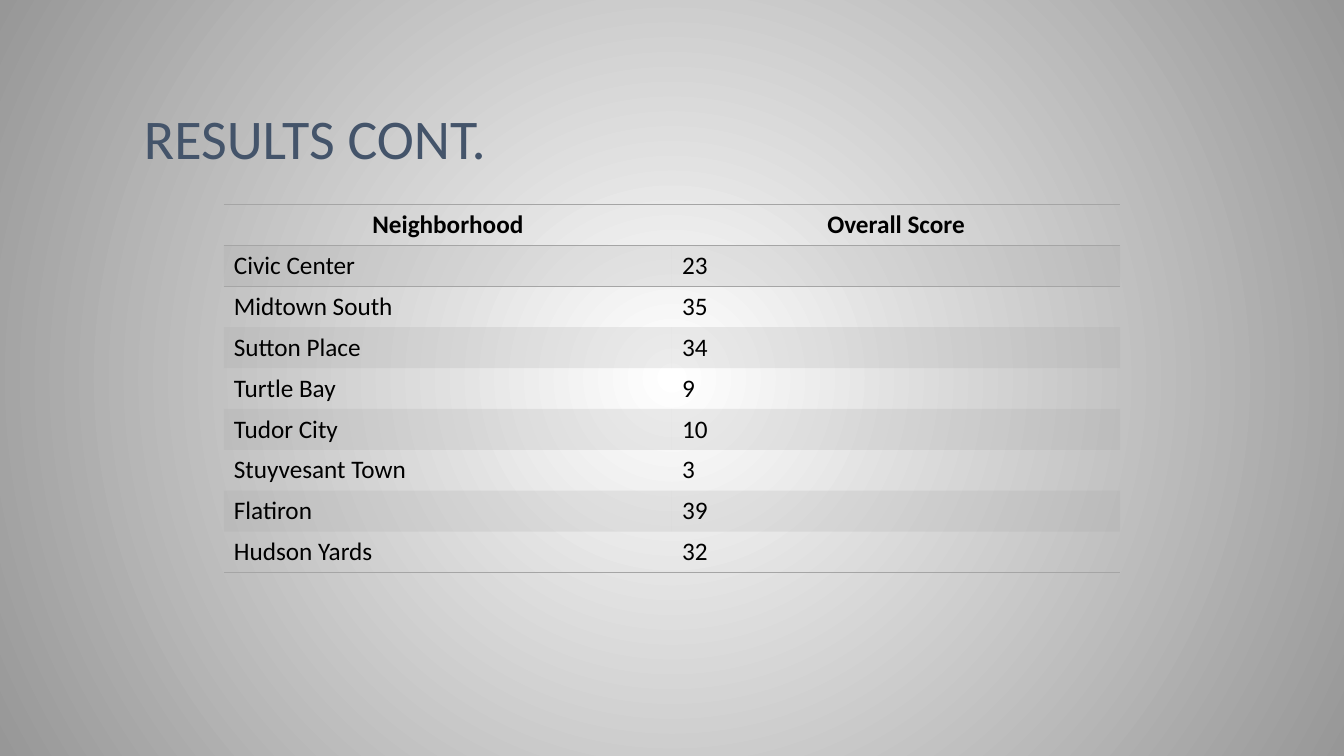
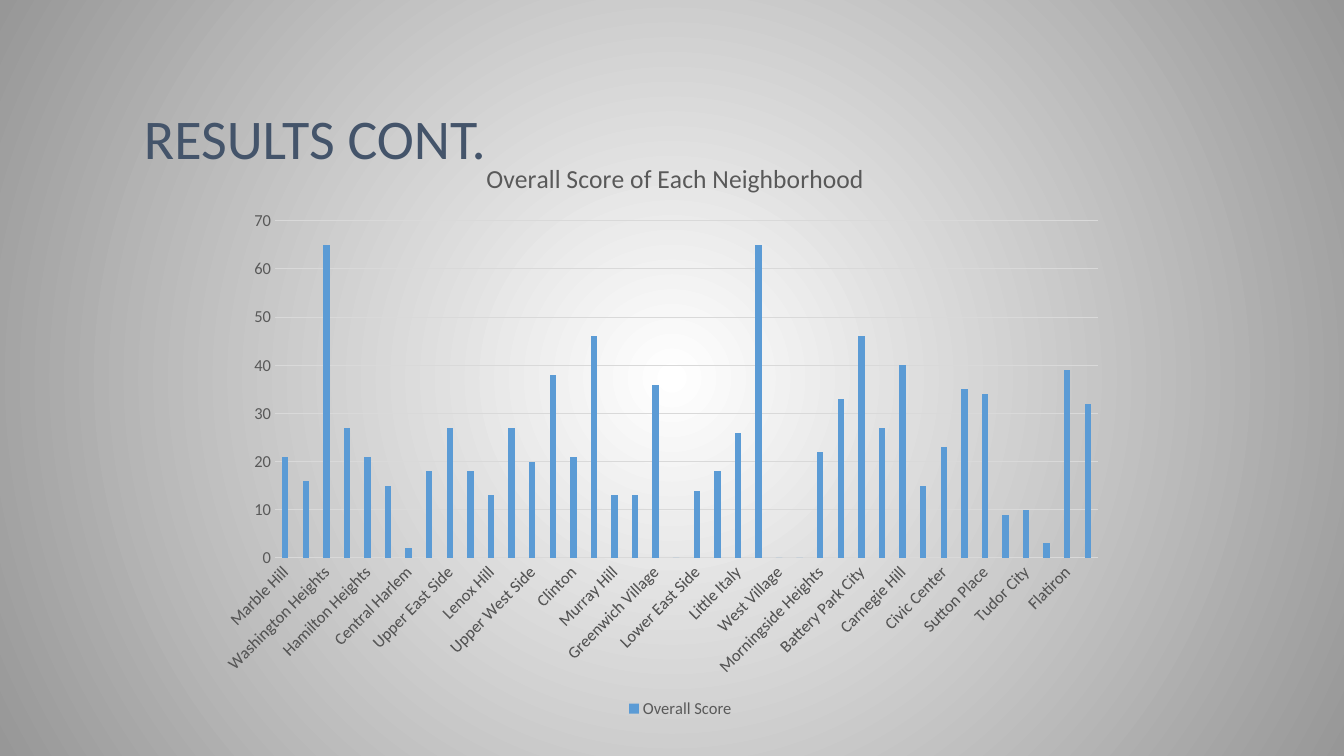
import pptx
import pptx.chart.data
import pptx.dml.color
import pptx.enum.chart
import pptx.enum.text
import pptx.oxml
import pptx.oxml.ns
import pptx.util

Inches = pptx.util.Inches
Pt = pptx.util.Pt
RGB = pptx.dml.color.RGBColor
qn = pptx.oxml.ns.qn
ALIGN = pptx.enum.text.PP_ALIGN

WHITE = RGB(0xFF, 0xFF, 0xFF)
BLACK = RGB(0, 0, 0)
EDGE = RGB(0x97, 0x97, 0x97)
NAVY = RGB(0x44, 0x54, 0x6A)
BAND = RGB(0xA5, 0xA5, 0xA5)
GRID = RGB(0xD9, 0xD9, 0xD9)
LABEL = RGB(0x59, 0x59, 0x59)
BLUE = RGB(0x5B, 0x9B, 0xD5)
FONT = "Calibri"
NO_GRID = "{2D5ABB26-0587-4C30-8999-92F81FD0307C}"

TITLE = "RESULTS CONT."
HEADS = ("Neighborhood", "Overall Score")
SCORES = [
    ("Marble Hill", 21), ("Chinatown", 16), ("Washington Heights", 65),
    ("Inwood", 27), ("Hamilton Heights", 21), ("Manhattanville", 15),
    ("Central Harlem", 2), ("East Harlem", 18), ("Upper East Side", 27),
    ("Yorkville", 18), ("Lenox Hill", 13), ("Roosevelt Island", 27),
    ("Upper West Side", 20), ("Lincoln Square", 38), ("Clinton", 21),
    ("Midtown", 46), ("Murray Hill", 13), ("Chelsea", 13),
    ("Greenwich Village", 36), ("East Village", 0), ("Lower East Side", 14),
    ("Tribeca", 18), ("Little Italy", 26), ("Soho", 65),
    ("West Village", 0), ("Manhattan Valley", 0), ("Morningside Heights", 22),
    ("Gramercy", 33), ("Battery Park City", 46), ("Financial District", 27),
    ("Carnegie Hill", 40), ("Noho", 15), ("Civic Center", 23),
    ("Midtown South", 35), ("Sutton Place", 34), ("Turtle Bay", 9),
    ("Tudor City", 10), ("Stuyvesant Town", 3), ("Flatiron", 39),
    ("Hudson Yards", 32),
]
LAST = SCORES[-8:]


def xml(tag, body="", attrs=""):
    space = pptx.oxml.ns.nsdecls("a", "c")
    return pptx.oxml.parse_xml(f"<{tag} {space} {attrs}>{body}</{tag}>")


def style(font, size, color, bold=False):
    font.name = FONT
    font.size = Pt(size)
    font.bold = bold
    font.color.rgb = color


def put(frame, text, size=18, color=BLACK, bold=False, align=ALIGN.LEFT, space=None):
    para = frame.paragraphs[0]
    para.alignment = align
    para.line_spacing = space
    run = para.add_run()
    run.text = text
    style(run.font, size, color, bold)


def place(node, index, inner=False, **spots):
    for old in node.findall(qn("c:layout")):
        node.remove(old)
    body = '<c:layoutTarget val="inner"/>' if inner else ""
    body += '<c:xMode val="edge"/><c:yMode val="edge"/>'
    body += "".join(f'<c:{key} val="{val}"/>' for key, val in spots.items())
    node.insert(index, xml("c:layout", f"<c:manualLayout>{body}</c:manualLayout>"))


class Deck:
    def __init__(self):
        self.file = pptx.Presentation()
        self.file.slide_width = Inches(13.33)
        self.file.slide_height = Inches(7.5)
        self.slide = None
        self.glow()

    def glow(self):
        master = self.file.slide_master
        fill = master.background.fill
        fill.gradient()
        for stop, color in zip(fill.gradient_stops, (WHITE, EDGE)):
            stop.color.rgb = color
        lin = next(master.element.iter(qn("a:lin")))
        rect = '<a:fillToRect l="50000" t="50000" r="50000" b="50000"/>'
        lin.getparent().replace(lin, xml("a:path", rect, 'path="circle"'))

    def page(self, title):
        self.slide = self.file.slides.add_slide(self.file.slide_layouts[6])
        box = self.slide.shapes.add_textbox(
            Inches(1.33), Inches(0.3), Inches(10.67), Inches(1.45))
        frame = box.text_frame
        frame.word_wrap = True
        frame.vertical_anchor = pptx.enum.text.MSO_ANCHOR.BOTTOM
        put(frame, title, size=40, color=NAVY, space=0.9)

    def rule(self, cell, sides):
        props = cell._tc.get_or_add_tcPr()
        for index, side in enumerate(sides):
            body = f'<a:solidFill><a:srgbClr val="{BAND}"/></a:solidFill>'
            props.insert(index, xml(f"a:ln{side}", body, 'w="12700"'))

    def shade(self, cell):
        cell.fill.solid()
        cell.fill.fore_color.rgb = BAND
        color = next(cell._tc.get_or_add_tcPr().iter(qn("a:srgbClr")))
        color.append(xml("a:alpha", attrs='val="20000"'))

    def table(self, heads, rows):
        count = len(rows) + 1
        table = self.slide.shapes.add_table(
            count, len(heads), Inches(2.22), Inches(2.03),
            Inches(8.89), Inches(3.65)).table
        table.first_row = table.horz_banding = False
        next(table._tbl.iter(qn("a:tableStyleId"))).text = NO_GRID
        edges = {0: "TB", 1: "T", count - 1: "B"}
        for r, row in enumerate([heads, *rows]):
            for c, value in enumerate(row):
                cell = table.cell(r, c)
                head = r == 0
                align = ALIGN.CENTER if head else ALIGN.LEFT
                put(cell.text_frame, str(value), bold=head, align=align)
                if r % 2:
                    self.shade(cell)
                else:
                    cell.fill.background()
                self.rule(cell, edges.get(r, ""))

    def axis(self, axis):
        axis.major_tick_mark = pptx.enum.chart.XL_TICK_MARK.NONE
        axis.minor_tick_mark = pptx.enum.chart.XL_TICK_MARK.NONE
        style(axis.tick_labels.font, 12, LABEL)

    def line(self, line):
        line.color.rgb = GRID
        line.width = Pt(0.75)

    def chart(self, title, name, rows):
        data = pptx.chart.data.CategoryChartData()
        data.categories = [area for area, score in rows]
        data.add_series(name, [score for area, score in rows])
        chart = self.slide.shapes.add_chart(
            pptx.enum.chart.XL_CHART_TYPE.COLUMN_CLUSTERED,
            Inches(2.22), Inches(1.25), Inches(8.89), Inches(5.92), data).chart
        style(chart.font, 10, BLACK)

        put(chart.chart_title.text_frame, title, size=18.6, color=LABEL,
            align=ALIGN.CENTER)
        chart.chart_title.include_in_layout = False
        place(chart.chart_title._element, 1, x=0.274, y=0.05)
        area = next(chart._chartSpace.iter(qn("c:plotArea")))
        place(area, 0, inner=True, x=0.039, y=0.159, w=0.936, h=0.565)

        plot = chart.plots[0]
        plot.gap_width = 219
        plot.overlap = -27
        plot.vary_by_categories = False
        bars = plot.series[0].format.fill
        bars.solid()
        bars.fore_color.rgb = BLUE

        cats, vals = chart.category_axis, chart.value_axis
        self.axis(cats)
        self.axis(vals)
        self.line(cats.format.line)
        next(cats._element.iter(qn("a:bodyPr"))).set("rot", "-2700000")
        vals.minimum_scale = 0
        vals.maximum_scale = 70
        vals.major_unit = 10
        vals.format.line.fill.background()
        self.line(vals.major_gridlines.format.line)

        chart.has_legend = True
        chart.legend.position = pptx.enum.chart.XL_LEGEND_POSITION.BOTTOM
        chart.legend.include_in_layout = False
        style(chart.legend.font, 12, LABEL)


def main():
    deck = Deck()
    deck.page(TITLE)
    deck.table(HEADS, LAST)
    deck.page(TITLE)
    deck.chart("Overall Score of Each Neighborhood", HEADS[1], SCORES)
    deck.file.save("out.pptx")


if __name__ == "__main__":
    main()
